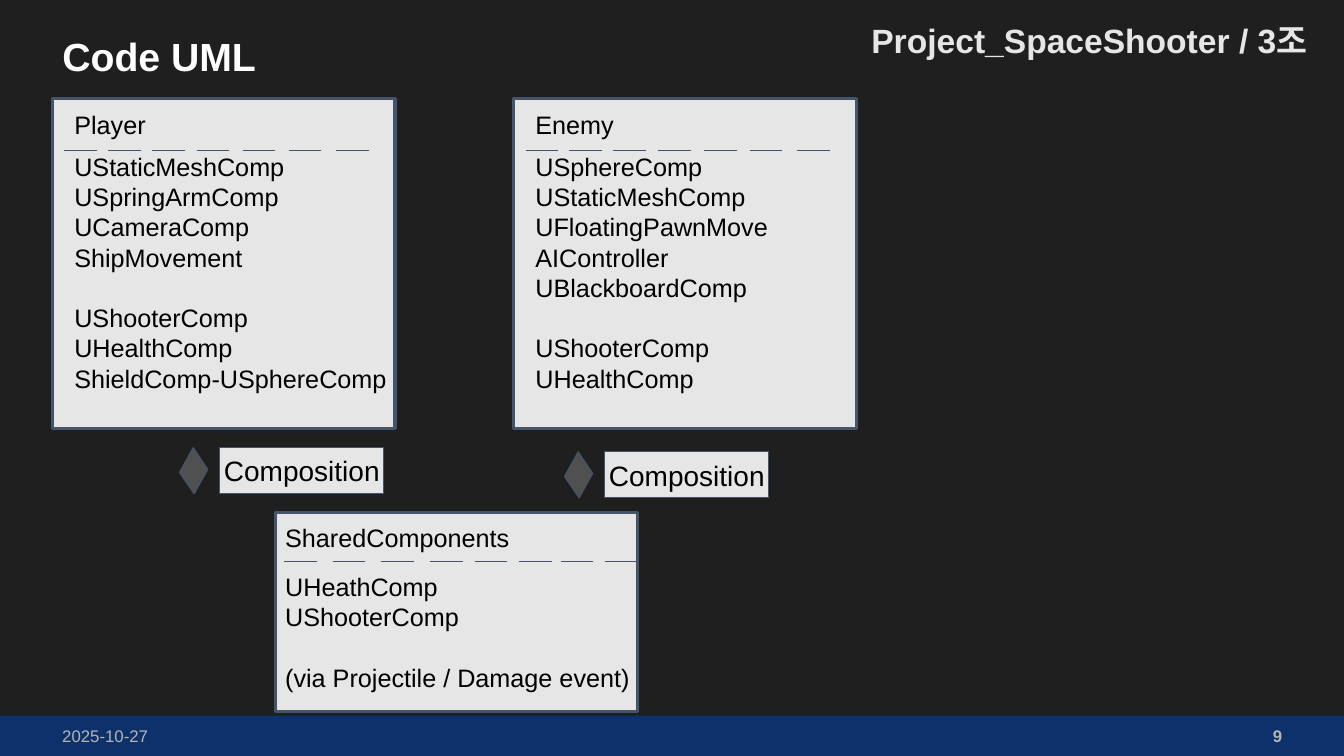
from dataclasses import dataclass

from lxml import etree
from pptx import Presentation
from pptx.dml.color import RGBColor
from pptx.enum.shapes import MSO_CONNECTOR, MSO_SHAPE
from pptx.enum.text import MSO_ANCHOR, PP_ALIGN
from pptx.oxml.ns import qn
from pptx.util import Pt

RECTANGLE = MSO_SHAPE.RECTANGLE
STRAIGHT = MSO_CONNECTOR.STRAIGHT
LEFT, CENTER, RIGHT = PP_ALIGN.LEFT, PP_ALIGN.CENTER, PP_ALIGN.RIGHT
TOP, MIDDLE = MSO_ANCHOR.TOP, MSO_ANCHOR.MIDDLE

BACKGROUND = RGBColor(0x1F, 0x1F, 0x1F)
FOOTER_BLUE = RGBColor(0x0D, 0x32, 0x6F)
FOOTER_TEXT = RGBColor(0xB5, 0xB5, 0xB5)
PANEL = RGBColor(0xE7, 0xE6, 0xE6)
OUTLINE = RGBColor(0x44, 0x54, 0x6A)
DIAMOND = RGBColor(0x50, 0x50, 0x50)
BLACK = RGBColor(0, 0, 0)
WHITE = RGBColor(0xFF, 0xFF, 0xFF)

FONT = "Arial"
SLIDE_WIDTH, SLIDE_HEIGHT = 960, 540
FOOTER_TOP = 511.2
DASH_LENGTH = 23.3
LINE_FACTOR = 1.2
CLASS_DASHES = (0, 31.2, 62.6, 94.6, 127.5, 160.2, 194)
SHARED_DASHES = (0, 34.6, 69.1, 104.4, 136.1, 167.8, 197.5, 229)


@dataclass(frozen=True)
class Box:
    left: float
    top: float
    width: float
    height: float

    def lengths(self) -> tuple:
        return Pt(self.left), Pt(self.top), Pt(self.width), Pt(self.height)


@dataclass(frozen=True)
class TextStyle:
    size: float
    color: RGBColor = BLACK
    bold: bool = False
    align: PP_ALIGN = LEFT
    spacing: float | None = None
    inset: float = 7.2
    anchor: MSO_ANCHOR = TOP


@dataclass(frozen=True)
class ClassPanel:
    frame: Box
    name_box: Box
    name: str
    member_box: Box
    groups: tuple[tuple[str, ...], ...]
    rule_left: float
    rule_top: float
    dashes: tuple[float, ...]


@dataclass(frozen=True)
class Composition:
    left: float
    top: float


CLASS_TEXT = TextStyle(18, spacing=Pt(18 * LINE_FACTOR))
LABEL_TEXT = TextStyle(20, align=CENTER, inset=0, anchor=MIDDLE)
TITLE_TEXT = TextStyle(28, WHITE, True, spacing=1.15, inset=3.6, anchor=MIDDLE)
PROJECT_TEXT = TextStyle(24, PANEL, True, RIGHT, 0.9)
DATE_TEXT = TextStyle(12, FOOTER_TEXT, inset=3.6)
NUMBER_TEXT = TextStyle(12, FOOTER_TEXT, True, RIGHT, inset=3.6)


def class_panel(left: float, name: str, groups: tuple) -> ClassPanel:
    return ClassPanel(
        Box(left, 70.6, 244.8, 235.4),
        Box(left + 8.6, 70.6, 76.3, 36), name,
        Box(left + 8.6, 100.8, 244.8, 200), groups,
        left + 8.6, 107.3, CLASS_DASHES,
    )


PANELS = (
    class_panel(37.4, "Player", (
        ("UStaticMeshComp", "USpringArmComp", "UCameraComp", "ShipMovement"),
        ("UShooterComp", "UHealthComp", "ShieldComp-USphereComp"),
    )),
    class_panel(366.8, "Enemy", (
        ("USphereComp", "UStaticMeshComp", "UFloatingPawnMove",
         "AIController", "UBlackboardComp"),
        ("UShooterComp", "UHealthComp"),
    )),
    ClassPanel(
        Box(196.6, 365.8, 258.5, 142.6),
        Box(196.6, 365.8, 197.3, 36), "SharedComponents",
        Box(196.6, 401, 267.8, 101.5),
        (("UHeathComp", "UShooterComp"), ("(via Projectile / Damage event)",)),
        203, 401, SHARED_DASHES,
    ),
)
COMPOSITIONS = (Composition(128.2, 319.7), Composition(403.2, 322.6))


def write(shape, groups: tuple, style: TextStyle) -> None:
    frame = shape.text_frame
    frame_format = {
        "word_wrap": True,
        "vertical_anchor": style.anchor,
        "margin_left": Pt(7.2 if style.inset else 0),
        "margin_right": Pt(7.2 if style.inset else 0),
        "margin_top": Pt(style.inset),
        "margin_bottom": Pt(style.inset),
    }
    for name, value in frame_format.items():
        setattr(frame, name, value)
    paragraph = None
    for group in groups:
        for position, line in enumerate(group):
            starts_gap = paragraph is not None and position == 0
            paragraph = frame.add_paragraph() if paragraph is not None else frame.paragraphs[0]
            paragraph.text = line
            paragraph.alignment = style.align
            paragraph.line_spacing = style.spacing
            paragraph.space_before = Pt(style.size * LINE_FACTOR if starts_gap else 0)
            font_format = {"name": FONT, "size": Pt(style.size), "bold": style.bold}
            for name, value in font_format.items():
                setattr(paragraph.runs[0].font, name, value)
            paragraph.runs[0].font.color.rgb = style.color


def add_text(slide, box: Box, groups: tuple, style: TextStyle) -> None:
    write(slide.shapes.add_textbox(*box.lengths()), groups, style)


def paint(shape, fill: RGBColor, line_width: float) -> None:
    shape.shadow.inherit = False
    shape.fill.solid()
    shape.fill.fore_color.rgb = fill
    if line_width:
        shape.line.color.rgb = OUTLINE
        shape.line.width = Pt(line_width)
    else:
        shape.line.fill.background()


def add_rectangle(slide, box: Box, fill: RGBColor, line_width: float):
    shape = slide.shapes.add_shape(RECTANGLE, *box.lengths())
    paint(shape, fill, line_width)
    return shape


def add_dash(slide, left: float, top: float) -> None:
    dash = slide.shapes.add_connector(
        STRAIGHT, Pt(left), Pt(top), Pt(left + DASH_LENGTH), Pt(top))
    dash.line.color.rgb = OUTLINE
    dash.line.width = Pt(0.75)
    etree.SubElement(dash._element.spPr, qn("a:effectLst"))


def add_class_panel(slide, panel: ClassPanel) -> None:
    add_rectangle(slide, panel.frame, PANEL, 2.25)
    add_text(slide, panel.name_box, ((panel.name,),), CLASS_TEXT)
    for offset in panel.dashes:
        add_dash(slide, panel.rule_left + offset, panel.rule_top)
    add_text(slide, panel.member_box, panel.groups, CLASS_TEXT)


def add_composition(slide, composition: Composition) -> None:
    left, top = composition.left, composition.top
    corners = [(Pt(left + x), Pt(top + y))
               for x, y in ((9.8, 0), (0, 17.8), (10.5, 33.1), (20.2, 15.6))]
    builder = slide.shapes.build_freeform(*corners[0])
    builder.add_line_segments(corners[1:], close=True)
    paint(builder.convert_to_shape(), DIAMOND, 0.75)
    label = add_rectangle(slide, Box(left + 28.7, top, 117.4, 33.1), PANEL, 0.75)
    write(label, (("Composition",),), LABEL_TEXT)


def add_footer(slide) -> None:
    bar = add_rectangle(
        slide, Box(0, FOOTER_TOP, SLIDE_WIDTH, SLIDE_HEIGHT - FOOTER_TOP), FOOTER_BLUE, 0)
    color = bar._element.spPr.find(qn("a:solidFill")).find(qn("a:srgbClr"))
    etree.SubElement(color, qn("a:alpha"), val="96000")
    add_text(slide, Box(37.4, 514.8, 216, 22.3), (("2025-10-27",),), DATE_TEXT)
    add_text(slide, Box(707, 514.8, 216, 22.3), (("9",),), NUMBER_TEXT)


def main() -> None:
    presentation = Presentation()
    presentation.slide_width = Pt(SLIDE_WIDTH)
    presentation.slide_height = Pt(SLIDE_HEIGHT)
    slide = presentation.slides.add_slide(presentation.slide_layouts[5])
    slide.background.fill.solid()
    slide.background.fill.fore_color.rgb = BACKGROUND
    title = slide.shapes.title
    title.left, title.top, title.width, title.height = Box(37.4, 0, 885.6, 74.2).lengths()
    write(title, (("Code UML",),), TITLE_TEXT)
    add_footer(slide)
    for panel in PANELS:
        add_class_panel(slide, panel)
    for composition in COMPOSITIONS:
        add_composition(slide, composition)
    add_text(slide, Box(576.7, 10.1, 364.3, 41), (("Project_SpaceShooter / 3조",),), PROJECT_TEXT)
    presentation.save("out.pptx")


if __name__ == "__main__":
    main()
